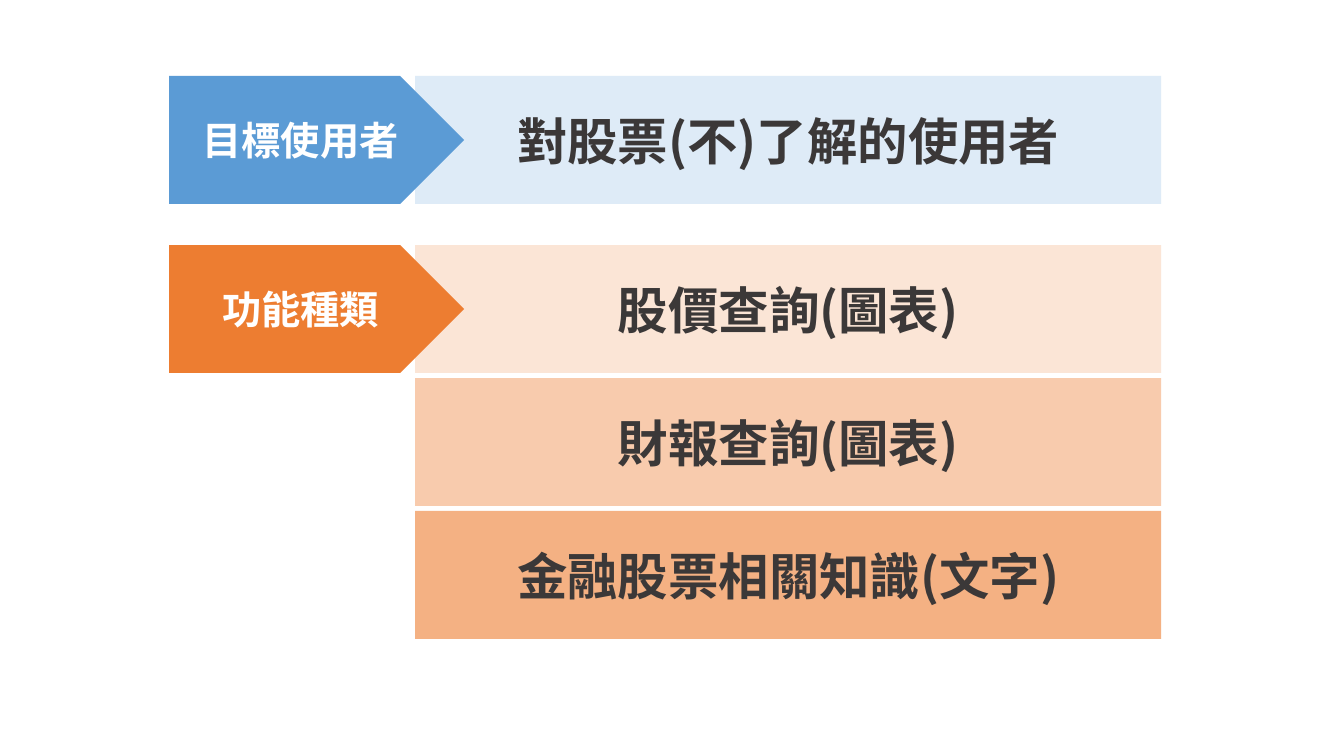
from lxml.etree import SubElement
from pptx import Presentation
from pptx.dml.color import RGBColor
from pptx.enum.shapes import MSO_SHAPE as Shape
from pptx.enum.text import MSO_ANCHOR as Anchor, PP_ALIGN as Align
from pptx.oxml.ns import qn
from pptx.util import Emu, Inches, Pt

FONT = "Noto Sans CJK SC"
BAR_LEFT, BAR_WIDTH = 415, 746
TAG_LEFT, TAG_WIDTH = 169, 295
ROW_HEIGHT, ROW_STEP = 128, 133

GROUPS = [
    (76, "目標使用者", "5B9BD5", [("對股票(不)了解的使用者", "DEEBF7")]),
    (245, "功能種類", "ED7D31", [
        ("股價查詢(圖表)", "FBE5D6"),
        ("財報查詢(圖表)", "F8CBAD"),
        ("金融股票相關知識(文字)", "F4B183"),
    ]),
]


def px(length):
    return Emu(round(length * 914400 / 100.8))


def color(code):
    return RGBColor.from_string(code)


def write(shape, text, *, size, ink, bold=True):
    frame = shape.text_frame
    frame.word_wrap = True
    frame.vertical_anchor = Anchor.MIDDLE
    para = frame.paragraphs[0]
    para.alignment = Align.CENTER
    span = para.add_run()
    span.text = text
    span.font.size = Pt(size)
    span.font.bold = bold
    span.font.color.rgb = color(ink)
    span.font.name = FONT
    SubElement(span.font._element, qn("a:ea"), typeface=FONT)


def add_block(page, kind, left, top, width, fill):
    block = page.shapes.add_shape(
        kind, px(left), px(top), px(width), px(ROW_HEIGHT))
    block.shadow.inherit = False
    block.fill.solid()
    block.fill.fore_color.rgb = color(fill)
    block.line.fill.background()
    return block


def add_bar(page, top, text, fill):
    bar = add_block(page, Shape.RECTANGLE, BAR_LEFT, top, BAR_WIDTH, fill)
    write(bar, text, size=36, ink="3B3838")


def add_tag(page, top, text, fill):
    tag = add_block(page, Shape.PENTAGON, TAG_LEFT, top, TAG_WIDTH, fill)
    write(tag, text, size=28, ink="FFFFFF")


def main():
    deck = Presentation()
    deck.slide_width, deck.slide_height = Inches(13.33), Inches(7.5)
    page = deck.slides.add_slide(deck.slide_layouts[6])
    for top, label, fill, bars in GROUPS:
        for row, (text, tint) in enumerate(bars):
            add_bar(page, top + row * ROW_STEP, text, tint)
        add_tag(page, top, label, fill)
    deck.save("out.pptx")


if __name__ == "__main__":
    main()
